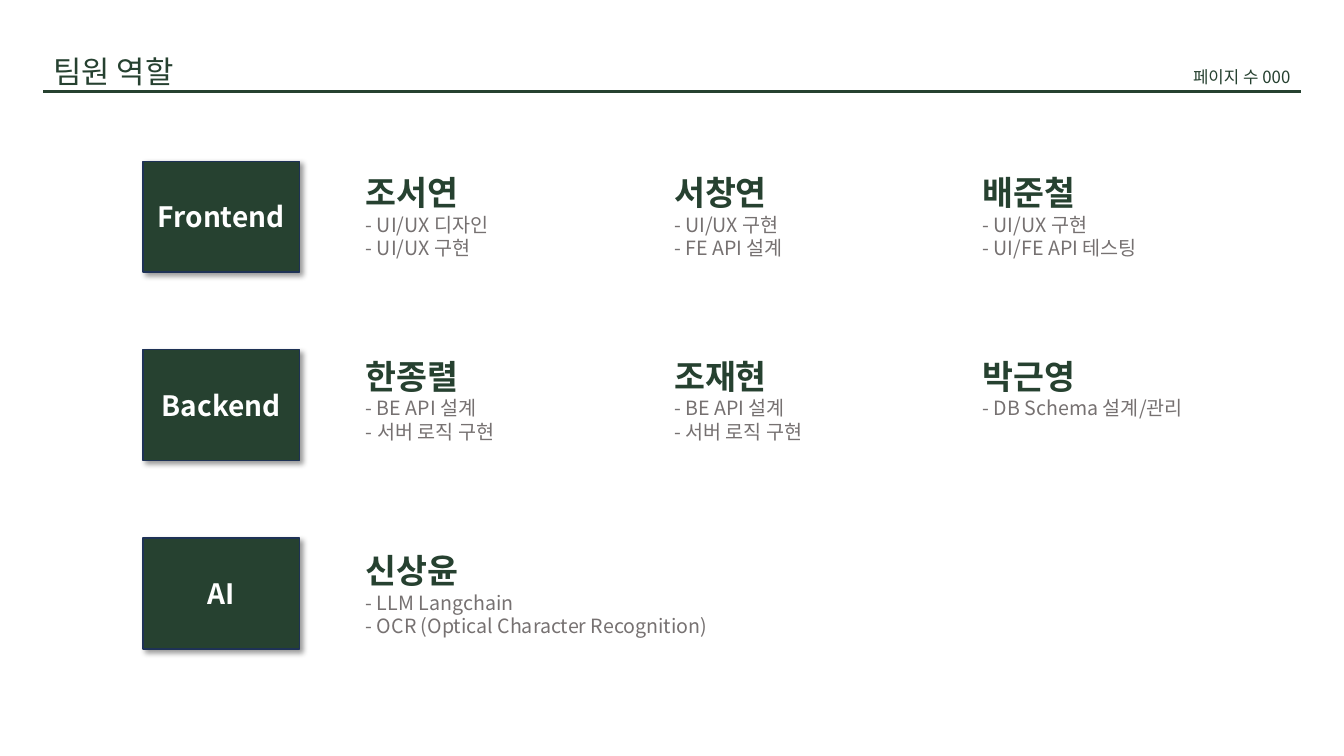
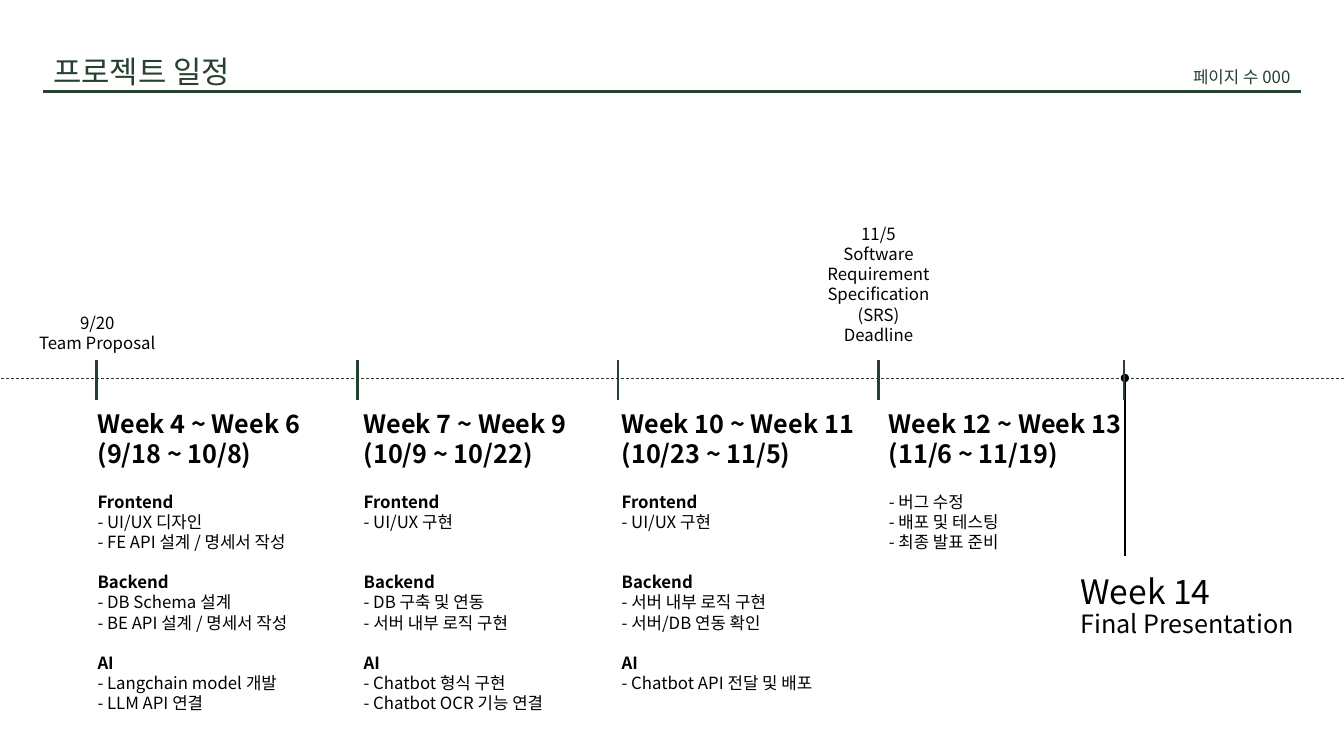
from dataclasses import dataclass

from lxml import etree
from pptx import Presentation
from pptx.dml.color import RGBColor
from pptx.enum.dml import MSO_LINE
from pptx.enum.shapes import MSO_CONNECTOR, MSO_SHAPE
from pptx.enum.text import MSO_ANCHOR, MSO_AUTO_SIZE, PP_ALIGN
from pptx.oxml.ns import qn
from pptx.shapes.connector import Connector
from pptx.slide import Slide
from pptx.text.text import TextFrame
from pptx.util import Pt

LEFT, CENTER, RIGHT = PP_ALIGN.LEFT, PP_ALIGN.CENTER, PP_ALIGN.RIGHT
MIDDLE = MSO_ANCHOR.MIDDLE
FIT = MSO_AUTO_SIZE.SHAPE_TO_FIT_TEXT
RECT = MSO_SHAPE.RECTANGLE
STRAIGHT = MSO_CONNECTOR.STRAIGHT
DASH = MSO_LINE.DASH


@dataclass(frozen=True)
class Theme:
    font: str = "Noto Sans CJK KR"
    green: str = "264130"
    navy: str = "1E3256"
    gray: str = "767171"
    black: str = "000000"
    white: str = "FFFFFF"
    title: float = 22
    name: float = 24
    team: float = 20
    week: float = 18
    task: float = 14
    small: float = 12
    pitch: float = 1.2


THEME = Theme()


@dataclass(frozen=True)
class Line:
    text: str
    size: float = THEME.small
    color: str = THEME.black
    bold: bool = False
    gap: float = 0


@dataclass(frozen=True)
class Box:
    left: float
    top: float
    width: float
    height: float


@dataclass(frozen=True)
class Person:
    name: str
    tasks: tuple[str, ...]
    width: float = 180


@dataclass(frozen=True)
class Team:
    name: str
    top: float
    people: tuple[Person, ...]


@dataclass(frozen=True)
class Work:
    team: str
    tasks: tuple[str, ...]


@dataclass(frozen=True)
class Phase:
    left: float
    weeks: str
    dates: str
    works: tuple[Work, ...]


@dataclass(frozen=True)
class Event:
    box: Box
    lines: tuple[str, ...]


def write(frame: TextFrame, lines: list[Line], align: PP_ALIGN) -> None:
    frame.word_wrap = True
    for index, line in enumerate(lines):
        para = frame.add_paragraph() if index else frame.paragraphs[0]
        para.alignment = align
        para.line_spacing = Pt(line.size * THEME.pitch)
        para.space_before = Pt(line.gap)
        run = para.add_run()
        run.text = line.text
        font = run.font
        font.size = Pt(line.size)
        font.bold = line.bold
        font.color.rgb = RGBColor.from_string(line.color)
        font.name = THEME.font
        etree.SubElement(run._r.get_or_add_rPr(), qn("a:ea"), typeface=THEME.font)


def label(slide: Slide, box: Box, lines: list[Line], align: PP_ALIGN = LEFT) -> None:
    shape = slide.shapes.add_textbox(
        Pt(box.left), Pt(box.top), Pt(box.width), Pt(box.height))
    write(shape.text_frame, lines, align)
    shape.text_frame.auto_size = FIT


def rule(slide: Slide, x1: float, y1: float, x2: float, y2: float,
         width: float = 2, color: str = THEME.green) -> Connector:
    line = slide.shapes.add_connector(STRAIGHT, Pt(x1), Pt(y1), Pt(x2), Pt(y2))
    line.line.width = Pt(width)
    line.line.color.rgb = RGBColor.from_string(color)
    etree.SubElement(line._element.spPr, qn("a:effectLst"))
    return line


def card(slide: Slide, box: Box, text: str) -> None:
    shape = slide.shapes.add_shape(
        RECT, Pt(box.left), Pt(box.top), Pt(box.width), Pt(box.height))
    shape.fill.solid()
    shape.fill.fore_color.rgb = RGBColor.from_string(THEME.green)
    shape.line.color.rgb = RGBColor.from_string(THEME.navy)
    shape.line.width = Pt(1)
    shape.shadow.inherit = False
    effects = shape._element.spPr.find(qn("a:effectLst"))
    shade = etree.SubElement(
        effects, qn("a:outerShdw"), blurRad=str(Pt(4)), dist=str(Pt(3)),
        dir="2700000", algn="tl", rotWithShape="0")
    tint = etree.SubElement(shade, qn("a:srgbClr"), val=THEME.black)
    etree.SubElement(tint, qn("a:alpha"), val="40000")
    shape.text_frame.vertical_anchor = MIDDLE
    write(shape.text_frame, [Line(text, THEME.team, THEME.white, True)], CENTER)


def page(deck: Presentation, title: str, width: float) -> Slide:
    slide = deck.slides.add_slide(deck.slide_layouts[6])
    rule(slide, 31, 65.5, 929, 65.5)
    label(slide, Box(31, 33.8, width, 33.8), [Line(title, THEME.title, THEME.green)])
    label(slide, Box(840.2, 43.9, 88.6, 21.6),
          [Line("페이지 수 000", THEME.small, THEME.green)], RIGHT)
    return slide


TEAMS = (
    Team("Frontend", 119.5, (
        Person("조서연", ("- UI/UX 디자인", "- UI/UX 구현")),
        Person("서창연", ("- UI/UX 구현", "- FE API 설계")),
        Person("배준철", ("- UI/UX 구현", "- UI/FE API 테스팅")),
    )),
    Team("Backend", 250.6, (
        Person("한종렬", ("- BE API 설계", "- 서버 로직 구현")),
        Person("조재현", ("- BE API 설계", "- 서버 로직 구현")),
        Person("박근영", ("- DB Schema 설계/관리",)),
    )),
    Team("AI", 389.5, (
        Person("신상윤", ("- LLM Langchain",
                       "- OCR (Optical Character Recognition)"), 269.3),
    )),
)

PHASES = (
    Phase(62.6, "Week 4 ~ Week 6", "(9/18 ~ 10/8)", (
        Work("Frontend", ("- UI/UX 디자인", "- FE API 설계 / 명세서 작성")),
        Work("Backend", ("- DB Schema 설계", "- BE API 설계 / 명세서 작성")),
        Work("AI", ("- Langchain model 개발", "- LLM API 연결")),
    )),
    Phase(252.7, "Week 7 ~ Week 9", "(10/9 ~ 10/22)", (
        Work("Frontend", ("- UI/UX 구현",)),
        Work("Backend", ("- DB 구축 및 연동", "- 서버 내부 로직 구현")),
        Work("AI", ("- Chatbot 형식 구현", "- Chatbot OCR 기능 연결")),
    )),
    Phase(437, "Week 10 ~ Week 11", "(10/23 ~ 11/5)", (
        Work("Frontend", ("- UI/UX 구현",)),
        Work("Backend", ("- 서버 내부 로직 구현", "- 서버/DB 연동 확인")),
        Work("AI", ("- Chatbot API 전달 및 배포",)),
    )),
    Phase(627.8, "Week 12 ~ Week 13", "(11/6 ~ 11/19)", (
        Work("", ("- 버그 수정", "- 배포 및 테스팅", "- 최종 발표 준비")),
    )),
)

EVENTS = (
    Event(Box(6.5, 219.6, 126, 36), ("9/20", "Team Proposal")),
    Event(Box(564.5, 156.2, 126, 94.3),
          ("11/5", "Software Requirement Specification", "(SRS)", "Deadline")),
)

TICKS = (69.1, 255.6, 441.4, 627.8, 802.8)
AXIS = 270


def agenda(works: tuple[Work, ...]) -> list[Line]:
    lines: list[Line] = []
    gap = 0.0
    for work in works:
        if work.team:
            lines.append(Line(work.team, bold=True, gap=gap))
        lines.extend(Line(task) for task in work.tasks)
        gap = (3 - len(work.tasks)) * THEME.small * THEME.pitch
    return lines


def roles(deck: Presentation) -> None:
    slide = page(deck, "팀원 역할", 101.5)
    for row, team in enumerate(TEAMS):
        card(slide, Box(102.2, 115.2 + 134.6 * row, 111.6, 79.2), team.name)
        for column, person in enumerate(team.people):
            lines = [Line(person.name, THEME.name, THEME.green, True)]
            lines += [Line(task, THEME.task, THEME.gray) for task in person.tasks]
            height = 7.2 + sum(line.size for line in lines) * THEME.pitch
            label(slide, Box(254.2 + 220.3 * column, team.top, person.width, height),
                  lines)


def plan(deck: Presentation) -> None:
    slide = page(deck, "프로젝트 일정", 167.8)
    rule(slide, 960, AXIS, 0, AXIS, 0.5).line.dash_style = DASH
    stem = rule(slide, 803.5, AXIS, 803.5, 397.4, 1.25, THEME.black)
    etree.SubElement(stem.line._get_or_add_ln(), qn("a:headEnd"), type="oval")
    for tick in TICKS:
        rule(slide, tick, AXIS - 13, tick, AXIS + 16)
    for phase in PHASES:
        label(slide, Box(phase.left, 288, 216, 51),
              [Line(text, THEME.week, bold=True) for text in (phase.weeks, phase.dates)])
        lines = agenda(phase.works)
        height = 7.2 + sum(line.size * THEME.pitch + line.gap for line in lines)
        label(slide, Box(phase.left, 347.4, 216, height), lines)
    for event in EVENTS:
        label(slide, event.box, [Line(text) for text in event.lines], CENTER)
    label(slide, Box(764.6, 403.9, 216, 36), [Line("Week 14", THEME.name)])
    label(slide, Box(764.6, 431.3, 216, 28.8),
          [Line("Final Presentation", THEME.week)])


deck = Presentation()
deck.slide_width, deck.slide_height = Pt(960), Pt(540)
roles(deck)
plan(deck)
deck.save("out.pptx")
